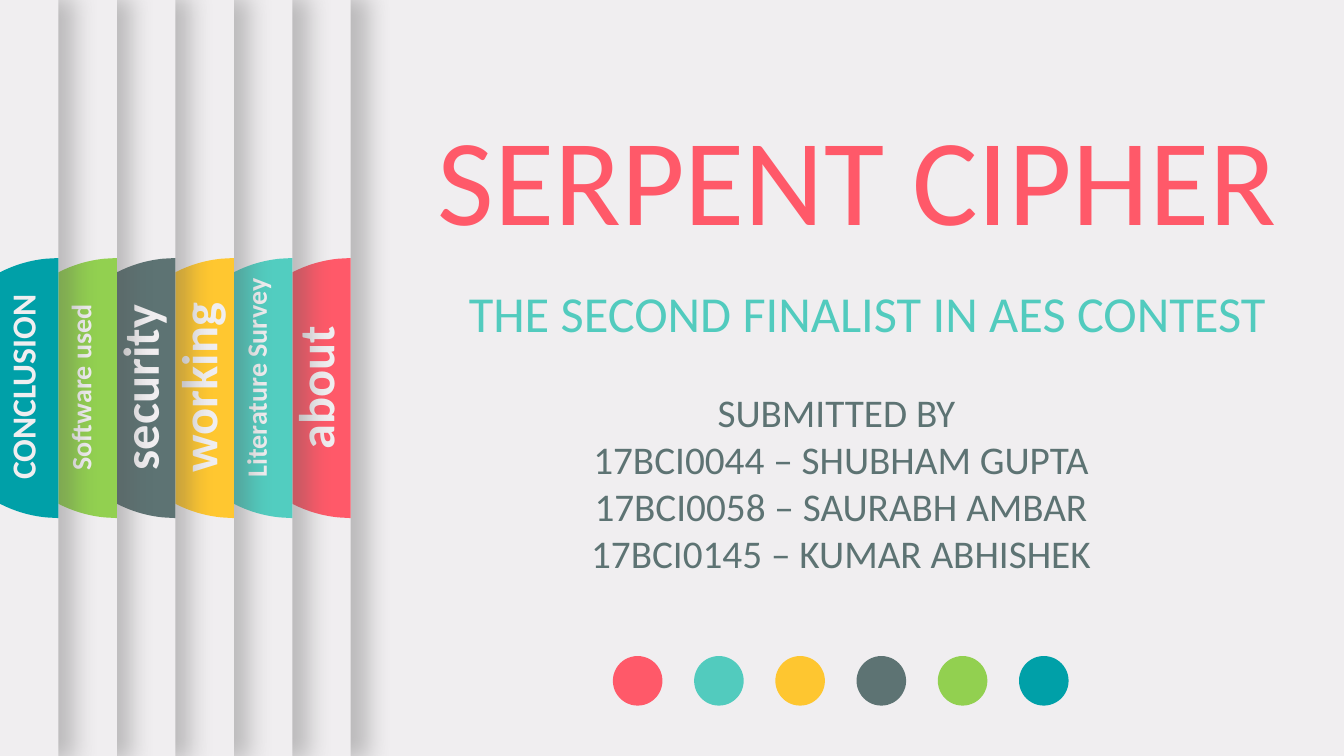
from lxml.etree import SubElement
from pptx import Presentation
from pptx.dml.color import RGBColor
from pptx.enum.shapes import MSO_SHAPE
from pptx.enum.text import PP_ALIGN
from pptx.oxml.ns import qn
from pptx.util import Inches, Pt

PAPER = RGBColor(0xF0, 0xEE, 0xF0)
SHADE = RGBColor(0x59, 0x59, 0x59)
CORAL = RGBColor(0xFF, 0x59, 0x69)
MINT = RGBColor(0x52, 0xCB, 0xBE)
AQUA = RGBColor(0x52, 0xCD, 0xC0)
GOLD = RGBColor(0xFE, 0xC6, 0x30)
AMBER = RGBColor(0xFF, 0xC7, 0x30)
SLATE = RGBColor(0x5D, 0x73, 0x73)
LIME = RGBColor(0x92, 0xD0, 0x50)
TEAL = RGBColor(0x00, 0xA0, 0xA8)

# The slide is a grid of 160 columns by 90 rows
COLS, ROWS = 160, 90
PITCH = 6.96   # columns from one panel edge to the next
MID = 46.2     # row of the tab centres

# Tab outline from its panel edge and centre: two lines, then two curves
TAB = [(0, -15.48), (0, 15.48), (-1.44, 15.4),
       (-9.24, 14.64), (-15.36, 8.04), (-15.36, 0),
       (-15.36, -8.04), (-9.24, -14.64), (-1.44, -15.4)]


class Deck:
    """Style and current slide; all lengths are grid units."""

    def __init__(self):
        self.show = Presentation()
        self.show.slide_width = Inches(13.33)
        self.show.slide_height = Inches(7.5)
        self.slide = self.show.slides.add_slide(self.show.slide_layouts[6])
        self.shapes = self.slide.shapes
        self.style = {"name": "Calibri", "bold": False}
        back = self.slide.background.fill
        back.solid()
        back.fore_color.rgb = PAPER

    def group(self):
        self.shapes = self.slide.shapes.add_group_shape().shapes

    def place(self, x, y):
        return (round(x * self.show.slide_width / COLS),
                round(y * self.show.slide_height / ROWS))

    def paint(self, shape, tone):
        shape.fill.solid()
        shape.fill.fore_color.rgb = tone
        shape.line.fill.background()
        shape.shadow.inherit = False
        return shape

    def solid(self, kind, x, y, w, h, tone):
        shape = self.shapes.add_shape(kind, *self.place(x, y), *self.place(w, h))
        return self.paint(shape, tone)

    def text(self, lines, x, y, w, h, tone, turn=0, **form):
        box = self.shapes.add_textbox(*self.place(x, y), *self.place(w, h))
        box.rotation = turn
        frame = box.text_frame
        frame.word_wrap = True
        frame.text = "\n".join(lines)
        for para in frame.paragraphs:
            para.alignment = PP_ALIGN.CENTER
            for key, value in {**self.style, **form}.items():
                setattr(para.font, key, value)
            para.font.color.rgb = tone

    def panel(self, left, edge):
        shape = self.solid(MSO_SHAPE.RECTANGLE, left, 0, edge - left, ROWS, PAPER)
        effects = shape._element.spPr.find(qn("a:effectLst"))
        shadow = SubElement(effects, qn("a:outerShdw"), blurRad=str(Pt(17)),
                            dist=str(Pt(3)), dir="0", sx="101000", sy="101000",
                            algn="l", rotWithShape="0")
        color = SubElement(shadow, qn("a:srgbClr"), val=str(SHADE))
        SubElement(color, qn("a:alpha"), val="35000")

    def tab(self, edge, tone):
        points = [self.place(edge + x, MID + y) for x, y in TAB]
        pen = self.shapes.build_freeform(*points[0])
        pen.add_line_segments(points[1:], close=True)
        shape = self.paint(pen.convert_to_shape(), tone)
        # Join each three points after the straight part into a curve
        lines = list(shape._element.iter(qn("a:lnTo")))[2:8]
        for first in (0, 3):
            curve = lines[first]
            curve.tag = qn("a:cubicBezTo")
            for line in lines[first + 1:first + 3]:
                curve.append(line[0])
                line.getparent().remove(line)

    def label(self, word, edge, row, size, tall):
        wide = 26.2
        self.text([word], edge - 4.3 - wide / 2, row - tall / 2, wide, tall,
                  PAPER, turn=270, size=Pt(size), bold=True)


def main():
    deck = Deck()

    # Title
    deck.text(["SERPENT CIPHER"], 50.55, 11.65, 103, 19, CORAL, size=Pt(88))

    # Row of dots
    deck.group()
    for spot, tone in enumerate([CORAL, MINT, GOLD, SLATE, LIME, TEAL]):
        deck.solid(MSO_SHAPE.OVAL, 72.96 + 9.67 * spot, 78.1, 5.9, 5.9, tone)
    deck.shapes = deck.slide.shapes

    # Subtitle and authors
    deck.text(["THE SECOND FINALIST IN AES CONTEST"], 52.75, 33, 101, 8.5,
              MINT, size=Pt(36))
    deck.text(["SUBMITTED BY ", "17BCI0044 – SHUBHAM GUPTA",
               "17BCI0058 – SAURABH AMBAR", "17BCI0145 – KUMAR ABHISHEK"],
              52.35, 45.6, 95.5, 23.9, SLATE, size=Pt(28))

    # Stacked panels: left side, word, tone, size, row, box height
    tabs = [
        (-122, "about", CORAL, 36, 46.15, 8.5),
        (-115.4, "Literature Survey", AQUA, 20, 45, 5.3),
        (-103, "working", AMBER, 36, 46.15, 8.5),
        (-104.8, "security", SLATE, 36, 46.15, 8.5),
        (-100.2, "Software used", LIME, 20, 46.1, 5.3),
        (-123.2, "CONCLUSION", TEAL, 24, 46.1, 6),
    ]
    for rank, (left, word, tone, size, row, tall) in enumerate(tabs):
        edge = PITCH * (len(tabs) - rank)
        deck.group()
        deck.panel(left, edge)
        deck.tab(edge, tone)
        deck.label(word, edge, row, size, tall)

    deck.show.save("out.pptx")


if __name__ == "__main__":
    main()
